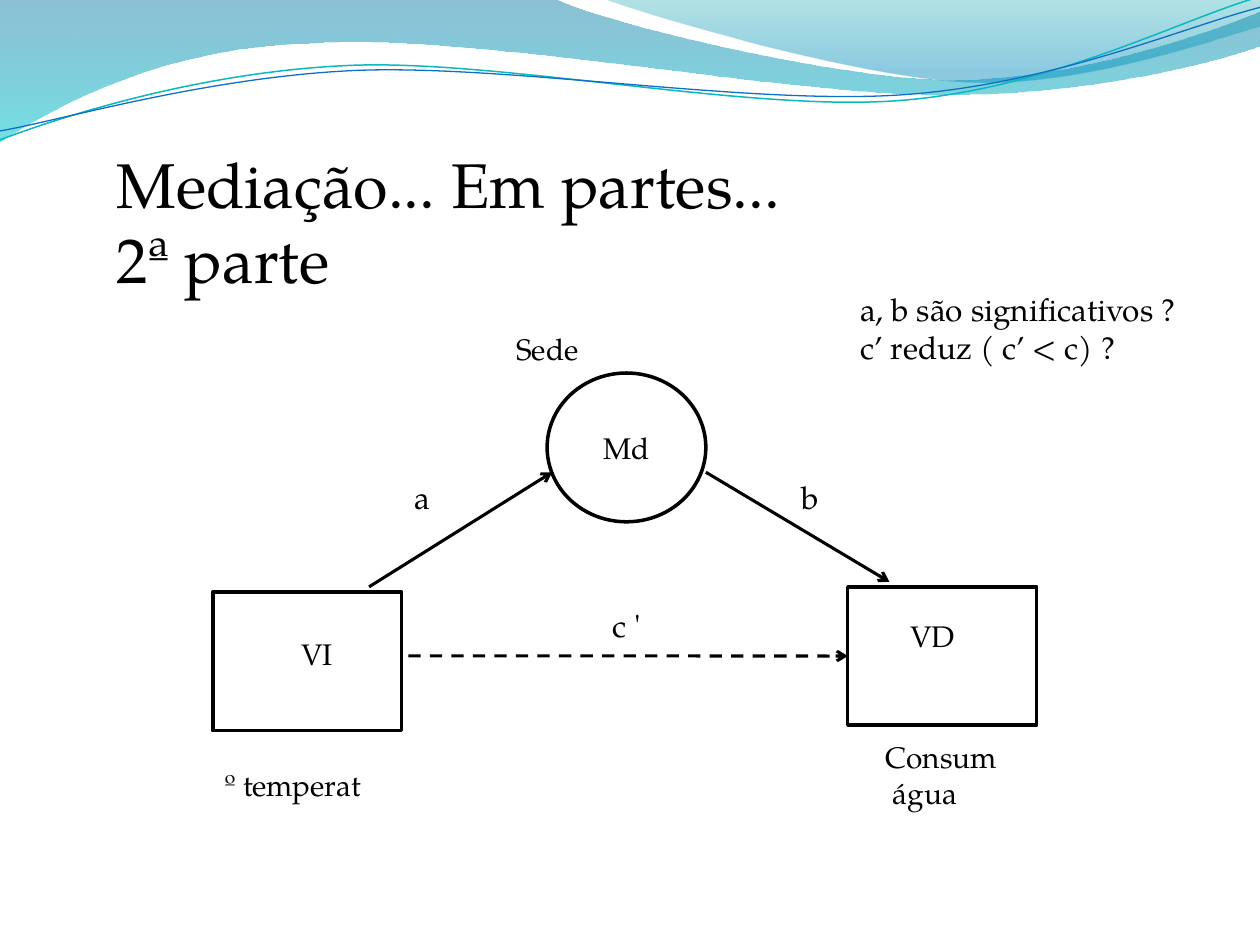
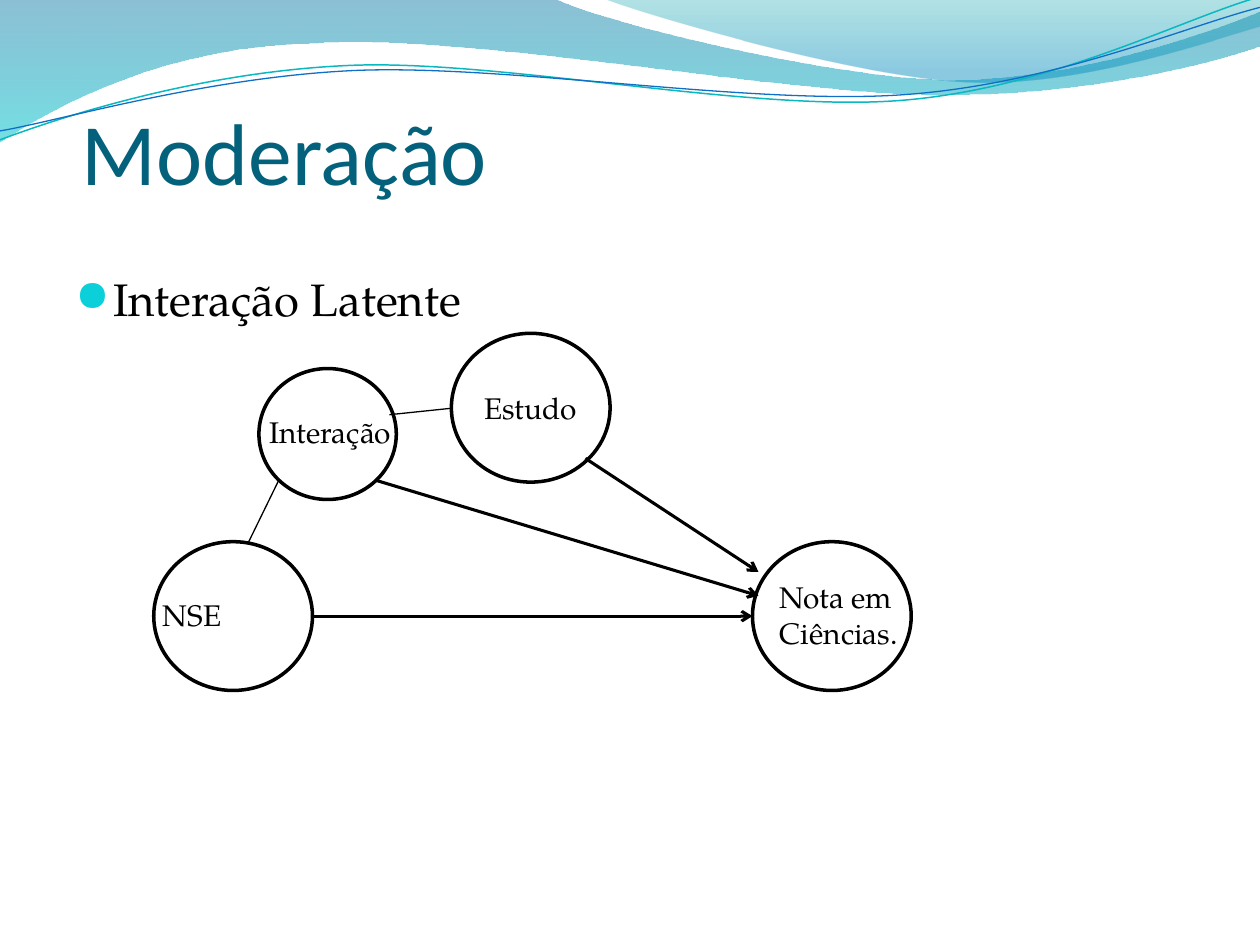
from lxml import etree
from pptx import Presentation
from pptx.dml.color import RGBColor
from pptx.enum.dml import MSO_LINE
from pptx.enum.shapes import MSO_CONNECTOR, MSO_SHAPE
from pptx.enum.text import MSO_ANCHOR, PP_ALIGN
from pptx.oxml.ns import qn
from pptx.util import Cm, Pt

BLACK = RGBColor(0x00, 0x00, 0x00)
WHITE = RGBColor(0xFF, 0xFF, 0xFF)
TITLE_BLUE = RGBColor(0x04, 0x61, 0x7B)
BULLET_CYAN = RGBColor(0x0B, 0xD0, 0xD9)
DEEP_BLUE = RGBColor(0x00, 0x74, 0xA1)
AQUA = RGBColor(0x00, 0xC6, 0xCF)
TEAL = RGBColor(0x00, 0xA1, 0xA9)
SKY = RGBColor(0x00, 0x8B, 0xBF)
CURVE_TEAL = RGBColor(0x0A, 0xB8, 0xBF)
CURVE_BLUE = RGBColor(0x0F, 0x6F, 0xC6)

SERIF = "TeX Gyre Pagella"
SANS = "Calibri"
BULLET_FONT = "OpenSymbol"
LEFT, CENTER = PP_ALIGN.LEFT, PP_ALIGN.CENTER
BOTTOM = MSO_ANCHOR.BOTTOM
OVAL, RECTANGLE = MSO_SHAPE.OVAL, MSO_SHAPE.RECTANGLE
STRAIGHT = MSO_CONNECTOR.STRAIGHT
DASH = MSO_LINE.DASH
LEFT_SIDE = 1

# All positions are in centimetres.
# Wave outlines: a pair is a straight step, six numbers are a Bezier curve.
BANDS = [
    {"start": (0, 0),
     "steps": [(11.18, -0.03),
               (12.09, 0.43, 16.87, 1.6, 19.25, 1.6),
               (21.67, 1.6, 24.33, 0.66, 25.4, 0.23),
               (25.43, 0.91),
               (24.97, 1.12, 22.1, 1.93, 18.95, 1.91),
               (15.8, 1.91, 9.7, 0.71, 6.53, 0.86),
               (3.28, 0.91, 1.17, 2.11, -0.03, 2.87)],
     "stops": [(0, DEEP_BLUE, 45), (1, AQUA, 55)]},
    {"start": (12.17, -0.03),
     "steps": [(12.93, 0.28, 17.32, 1.57, 19.53, 1.65),
               (21.74, 1.75, 24.41, 0.81, 25.4, 0.53),
               (25.4, 0)],
     "stops": [(0, TEAL, 30), (0.8, SKY, 45)]},
]
CURVES = [
    {"start": (0, 2.82),
     "steps": [(1.22, 2.36, 4.01, 1.45, 7.04, 1.32),
               (10.03, 1.19, 15.06, 2.26, 18.11, 2.03),
               (21.16, 1.8, 23.83, 0.38, 25.35, -0.05)],
     "color": CURVE_TEAL, "width": 0.85},
    {"start": (0, 2.64),
     "steps": [(1.19, 2.44, 4.17, 1.55, 7.19, 1.42),
               (10.24, 1.3, 15.16, 2.13, 18.21, 1.91),
               (21.23, 1.7, 23.9, 0.53, 25.4, 0.15)],
     "color": CURVE_BLUE, "width": 0.75},
]

CIRCLE = (3.2, 3)
SMALL_CIRCLE = (2.77, 2.64)
BOX = (3.81, 2.79)

# Nodes: name -> (shape, left, top, size, fill)
# Arrows: (from, to, dash, node joined at the end)
# Labels: (lines, left, top, width, height, size, alignment)
MEDIATION = {
    "nodes": {
        "Md": (OVAL, 11.03, 7.52, CIRCLE, None),
        "VI": (RECTANGLE, 4.29, 11.94, BOX, None),
        "VD": (RECTANGLE, 17.09, 11.83, BOX, None),
    },
    "arrows": [
        ((8.23, 13.22), (17.09, 13.22), DASH, "VD"),
        ((14.23, 9.52), (17.93, 11.73), None, None),
        ((7.44, 11.83), (11.13, 9.52), None, None),
    ],
    "links": [],
    "labels": [
        (["Mediação... Em partes...", "2ª parte"], 2.1, 2.8, 19.41, 3.33, 36, LEFT),
        (["a, b são significativos ?", "c’ reduz ( c’ < c) ?"],
         17.09, 5.73, 7.7, 1.8, 18, LEFT),
        (["Sede"], 9.64, 6.55, 2.79, 0.99, 17, CENTER),
        (["Md"], 11.23, 8.53, 2.79, 0.99, 17, CENTER),
        (["VI"], 4.3, 12.7, 4.19, 0.99, 17, CENTER),
        (["VD"], 17.4, 12.33, 2.79, 0.99, 17, CENTER),
        (["º temperat"], 4.3, 15.33, 4.19, 0.99, 17, LEFT),
        (["Consum", " água"], 17.6, 14.77, 2.79, 1.7, 17, LEFT),
        (["a"], 8.1, 9.52, 1.17, 1.02, 18, LEFT),
        (["b"], 15.9, 9.52, 1.17, 1.02, 18, LEFT),
        (["c '"], 12.1, 12.09, 1.17, 1.02, 18, LEFT),
    ],
}
MODERATION = {
    "nodes": {
        "NSE": (OVAL, 3.1, 10.92, CIRCLE, None),
        "Nota": (OVAL, 15.17, 10.92, CIRCLE, None),
        "Estudo": (OVAL, 9.1, 6.72, CIRCLE, None),
        "Interação": (OVAL, 5.22, 7.43, SMALL_CIRCLE, WHITE),
    },
    "arrows": [
        ((6.3, 12.42), (15.17, 12.42), None, None),
        ((11.8, 9.24), (15.29, 11.53), None, None),
        ((7.57, 9.68), (15.29, 12.01), None, None),
    ],
    "links": [
        ((7.85, 8.36), (9.1, 8.23)),
        ((4.99, 10.97), (5.62, 9.68)),
    ],
    "labels": [
        (["NSE"], 3.03, 11.9, 4.19, 0.99, 17, LEFT),
        (["Nota em Ciências."], 15.47, 11.54, 3.02, 1.7, 17, LEFT),
        (["Estudo"], 9.3, 7.73, 2.79, 0.99, 17, CENTER),
        (["Interação"], 5.06, 8.22, 3.2, 0.99, 17, CENTER),
    ],
}


def add_child(parent, tag, **attributes):
    return etree.SubElement(parent, qn(tag), attributes)


def add_outline(slide, start, steps, close):
    """Draw every point as a straight step, then merge triples into curves."""
    points = [(Cm(step[index]), Cm(step[index + 1]))
              for step in steps for index in range(0, len(step), 2)]
    builder = slide.shapes.build_freeform(Cm(start[0]), Cm(start[1]))
    builder.add_line_segments(points, close=close)
    shape = builder.convert_to_shape()
    shape.shadow.inherit = False
    segments = iter(list(shape._element.iter(qn("a:lnTo"))))
    for step in steps:
        first = next(segments)
        if len(step) == 6:
            first.tag = qn("a:cubicBezTo")
            for extra in (next(segments), next(segments)):
                first.append(extra[0])
                extra.getparent().remove(extra)
    return shape


def add_waves(slide):
    """Draw the waves and hand them to the layout, which all slides share."""
    waves = []
    for band in BANDS:
        shape = add_outline(slide, band["start"], band["steps"], True)
        shape.line.fill.background()
        shape.fill.gradient()
        shape.fill.gradient_angle = 270
        for stop, (position, color, opacity) in zip(shape.fill.gradient_stops, band["stops"]):
            stop.position = position
            stop.color.rgb = color
        colors = shape._element.spPr.iter(qn("a:srgbClr"))
        for element, (position, color, opacity) in zip(colors, band["stops"]):
            add_child(element, "a:alpha", val=str(opacity * 1000))
        waves.append(shape)
    for curve in CURVES:
        shape = add_outline(slide, curve["start"], curve["steps"], False)
        shape.fill.background()
        shape.line.color.rgb = curve["color"]
        shape.line.width = Pt(curve["width"])
        waves.append(shape)
    for shape in waves:
        slide.slide_layout.shapes._spTree.append(shape._element)


def add_text(slide, lines, left, top, width, height, size, alignment=LEFT,
             font=SERIF, color=BLACK):
    text_box = slide.shapes.add_textbox(Cm(left), Cm(top), Cm(width), Cm(height))
    frame = text_box.text_frame
    frame.word_wrap = True
    for index, line in enumerate(lines):
        paragraph = frame.add_paragraph() if index else frame.paragraphs[0]
        paragraph.alignment = alignment
        run = paragraph.add_run()
        run.text = line
        run.font.name = font
        run.font.size = Pt(size)
        run.font.color.rgb = color
    return frame


def add_node(slide, kind, left, top, size, fill):
    shape = slide.shapes.add_shape(kind, Cm(left), Cm(top), Cm(size[0]), Cm(size[1]))
    shape.shadow.inherit = False
    if fill is None:
        shape.fill.background()
    else:
        shape.fill.solid()
        shape.fill.fore_color.rgb = fill
    shape.line.color.rgb = BLACK
    shape.line.width = Pt(2)
    return shape


def add_line(slide, start, end, width):
    connector = slide.shapes.add_connector(
        STRAIGHT, *(Cm(value) for value in start + end))
    connector.line.color.rgb = BLACK
    connector.line.width = Pt(width)
    add_child(connector._element.spPr, "a:effectLst")
    return connector


def add_diagram(slide, diagram):
    nodes = {name: add_node(slide, *node) for name, node in diagram["nodes"].items()}
    for start, end, dash, target in diagram["arrows"]:
        arrow = add_line(slide, start, end, 1.75)
        if dash:
            arrow.line.dash_style = dash
        add_child(arrow.line._get_or_add_ln(), "a:tailEnd", type="arrow")
        if target:
            arrow.end_connect(nodes[target], LEFT_SIDE)
    for start, end in diagram["links"]:
        add_line(slide, start, end, 0.75)
    for label in diagram["labels"]:
        add_text(slide, *label)


def add_bullet(paragraph):
    properties = paragraph._p.get_or_add_pPr()
    properties.set("marL", str(Cm(0.76)))
    properties.set("indent", str(-Cm(0.76)))
    add_child(add_child(properties, "a:buClr"), "a:srgbClr", val=str(BULLET_CYAN))
    add_child(properties, "a:buSzPct", val="95000")
    add_child(properties, "a:buFont", typeface=BULLET_FONT)
    add_child(properties, "a:buChar", char="●")


def main():
    presentation = Presentation()
    presentation.slide_width, presentation.slide_height = Cm(25.4), Cm(19.05)
    blank = presentation.slide_layouts[6]

    # Mediation
    slide = presentation.slides.add_slide(blank)
    add_waves(slide)
    add_diagram(slide, MEDIATION)

    # Moderation
    slide = presentation.slides.add_slide(blank)
    title = add_text(slide, ["Moderação"], 1.65, 0.91, 22.86, 3.18, 50,
                     font=SANS, color=TITLE_BLUE)
    title.vertical_anchor = BOTTOM
    title.margin_left = title.margin_right = title.margin_bottom = 0
    body = add_text(slide, ["Interação Latente"], 1.27, 5.33, 22.86, 1.75, 26)
    add_bullet(body.paragraphs[0])
    add_diagram(slide, MODERATION)

    presentation.save("out.pptx")


if __name__ == "__main__":
    main()
